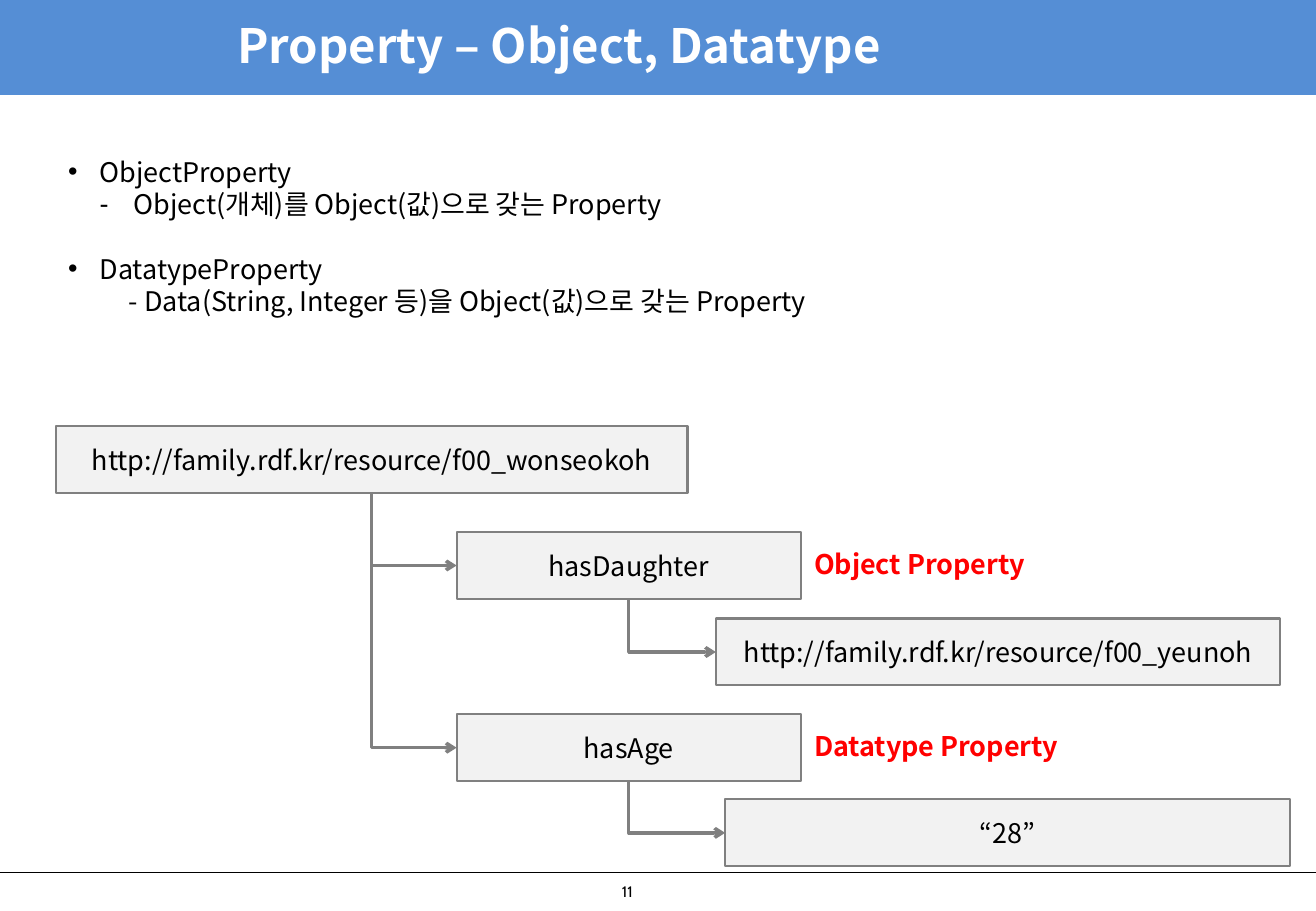
import pptx
import pptx.dml.color
import pptx.enum.shapes
import pptx.enum.text
import pptx.oxml
import pptx.oxml.ns
import pptx.util
from dataclasses import dataclass

Inches, Pt = pptx.util.Inches, pptx.util.Pt
SHAPE = pptx.enum.shapes.MSO_SHAPE
CONNECTOR = pptx.enum.shapes.MSO_CONNECTOR
ALIGN = pptx.enum.text.PP_ALIGN
MIDDLE = pptx.enum.text.MSO_ANCHOR.MIDDLE

TITLE = "Property – Object, Datatype"
PAGE_NUMBER = "11"
# text, bullet, left margin and first-line indent (inches), space before (points)
POINTS = [
    ("ObjectProperty", "•", 0.26, -0.26, 0),
    ("Object(개체)를 Object(값)으로 갖는 Property", "-", 0.54, -0.28, 0),
    ("DatatypeProperty", "•", 0.26, -0.26, 19.2),
    ("- Data(String, Integer 등)을 Object(값)으로 갖는 Property", None, 0.5, 0, 0),
]
# Places are left, top, width in hundredths of the slide's width and height.
NODES = {
    "subject": ("http://family.rdf.kr/resource/f00_wonseokoh", 4.25, 46.8, 48),
    "daughter": ("hasDaughter", 34.7, 58.4, 26.15),
    "daughter value": ("http://family.rdf.kr/resource/f00_yeunoh", 54.4, 67.9, 42.9),
    "age": ("hasAge", 34.7, 78.4, 26.15),
    "age value": ("“28”", 55.1, 87.75, 42.9),
}
NODE_ROWS = 7.35
EDGES = [("subject", "daughter"), ("subject", "age"),
         ("daughter", "daughter value"), ("age", "age value")]
LABELS = {"daughter": "Object Property", "age": "Datatype Property"}
LABEL_COLUMNS, LABEL_ROWS = 29.1, 4.9


@dataclass
class Theme:
    font: str = "Noto Sans CJK KR"
    number_font: str = "Cabin"
    banner: str = "558ED5"
    node: str = "F2F2F2"
    line: str = "808080"
    text: str = "000000"
    light: str = "FFFFFF"
    accent: str = "FF0000"
    title_size: float = 28
    text_size: float = 16
    number_size: float = 9
    line_pitch: float = 19.2


theme = Theme()
deck = pptx.Presentation()
deck.slide_width, deck.slide_height = Inches(10.83), Inches(7.5)
page = deck.slides.add_slide(deck.slide_layouts[1])


def color(code):
    return pptx.dml.color.RGBColor.from_string(code)


def place(left, top, width, height):
    """Turn hundredths of the slide into lengths."""
    across, down = deck.slide_width / 100, deck.slide_height / 100
    return [int(share * unit) for share, unit in
            zip((left, top, width, height), (across, down, across, down))]


def move(shape, *area):
    for name, value in zip(("left", "top", "width", "height"), area):
        setattr(shape, name, value)


def add_xml(parent, tag, **attributes):
    child = pptx.oxml.parse_xml(f"<a:{tag} {pptx.oxml.ns.nsdecls('a')}/>")
    for name, value in attributes.items():
        child.set(name, value)
    parent.append(child)


def write(para, text, align=ALIGN.LEFT, ink=theme.text, **formats):
    para.alignment = align
    span = para.add_run()
    span.text = text
    style = {"name": theme.font, "size": Pt(theme.text_size), "bold": False} | formats
    for name, value in style.items():
        setattr(span.font, name, value)
    span.font.color.rgb = color(ink)
    add_xml(span.font._element, "ea", typeface=style["name"])


def add_rectangle(area, fill, line, weight):
    box = page.shapes.add_shape(SHAPE.RECTANGLE, *area)
    box.shadow.inherit = False
    box.fill.solid()
    box.fill.fore_color.rgb = color(fill)
    box.line.color.rgb = color(line)
    box.line.width = Pt(weight)
    return box


def add_text(area, text, wrap=True, **formats):
    frame = page.shapes.add_textbox(*area).text_frame
    frame.word_wrap = wrap
    frame.vertical_anchor = MIDDLE
    write(frame.paragraphs[0], text, **formats)


def add_line(kind, start, end, ink, weight):
    line = page.shapes.add_connector(kind, *start, *end)
    line.line.color.rgb = color(ink)
    line.line.width = Pt(weight)
    add_xml(line._element.spPr, "effectLst")
    return line


def add_elbow(source, target):
    """Run an arrow down from the source, then right into the target."""
    start = source.left + source.width // 2, source.top + source.height
    end = target.left, target.top + target.height // 2
    elbow = add_line(CONNECTOR.ELBOW, start, end, theme.line, 2)
    elbow.begin_connect(source, 2)
    elbow.end_connect(target, 1)
    across, down = end[0] - start[0], end[1] - start[1]
    # The preset turns right then down, so it is mirrored and given a quarter turn.
    move(elbow, start[0] + (across - down) // 2, start[1] + (down - across) // 2,
         down, across)
    properties = elbow._element.spPr
    frame = properties.find(pptx.oxml.ns.qn("a:xfrm"))
    frame.set("rot", str(270 * 60000))
    frame.set("flipH", "1")
    properties.find(pptx.oxml.ns.qn("a:prstGeom")).set("prst", "bentConnector2")
    add_xml(elbow.line._get_or_add_ln(), "tailEnd", type="arrow")


def fill_title():
    banner = add_rectangle(place(0, 0, 100, 10.25), theme.banner, theme.banner, 2)
    title = page.shapes.title
    title._element.addprevious(banner._element)
    move(title, *place(17.1, 0, 81.6, 9.9))
    title.text_frame.vertical_anchor = MIDDLE
    title.text_frame.auto_size = pptx.enum.text.MSO_AUTO_SIZE.NONE
    write(title.text_frame.paragraphs[0], TITLE, ink=theme.light,
          size=Pt(theme.title_size), bold=True)


def fill_points():
    body = page.placeholders[1]
    move(body, *place(4.25, 16.4, 86.5, 19.3))
    frame = body.text_frame
    frame.auto_size = pptx.enum.text.MSO_AUTO_SIZE.NONE
    for index, (text, bullet, margin, indent, before) in enumerate(POINTS):
        para = frame.add_paragraph() if index else frame.paragraphs[0]
        para.line_spacing = Pt(theme.line_pitch)
        para.space_before, para.space_after = Pt(before), Pt(0)
        properties = para._element.get_or_add_pPr()
        properties.set("marL", str(Inches(margin)))
        properties.set("indent", str(Inches(indent)))
        if bullet:
            add_xml(properties, "buFont", typeface="Arial")
            add_xml(properties, "buChar", char=bullet)
        else:
            add_xml(properties, "buNone")
        write(para, text)


def draw_graph():
    boxes = {}
    for name, (text, left, top, width) in NODES.items():
        box = add_rectangle(place(left, top, width, NODE_ROWS),
                            theme.node, theme.line, 1.25)
        box.text_frame.word_wrap = True
        box.text_frame.vertical_anchor = MIDDLE
        write(box.text_frame.paragraphs[0], text, align=ALIGN.CENTER)
        boxes[name] = box
    for source, target in EDGES:
        add_elbow(boxes[source], boxes[target])
    for name, text in LABELS.items():
        _, left, top, width = NODES[name]
        add_text(place(left + width + 0.1, top + (NODE_ROWS - LABEL_ROWS) / 2 - 0.2,
                       LABEL_COLUMNS, LABEL_ROWS),
                 text, ink=theme.accent, bold=True)


def draw_footer():
    _, level, right, _ = place(0, 95.75, 100, 0)
    add_line(CONNECTOR.STRAIGHT, (0, level), (right, level), theme.text, 0.75)
    add_text(place(46.35, 96.15, 3.6, 3.3), PAGE_NUMBER, wrap=False,
             name=theme.number_font, size=Pt(theme.number_size))


fill_title()
fill_points()
draw_graph()
draw_footer()
deck.save("out.pptx")
